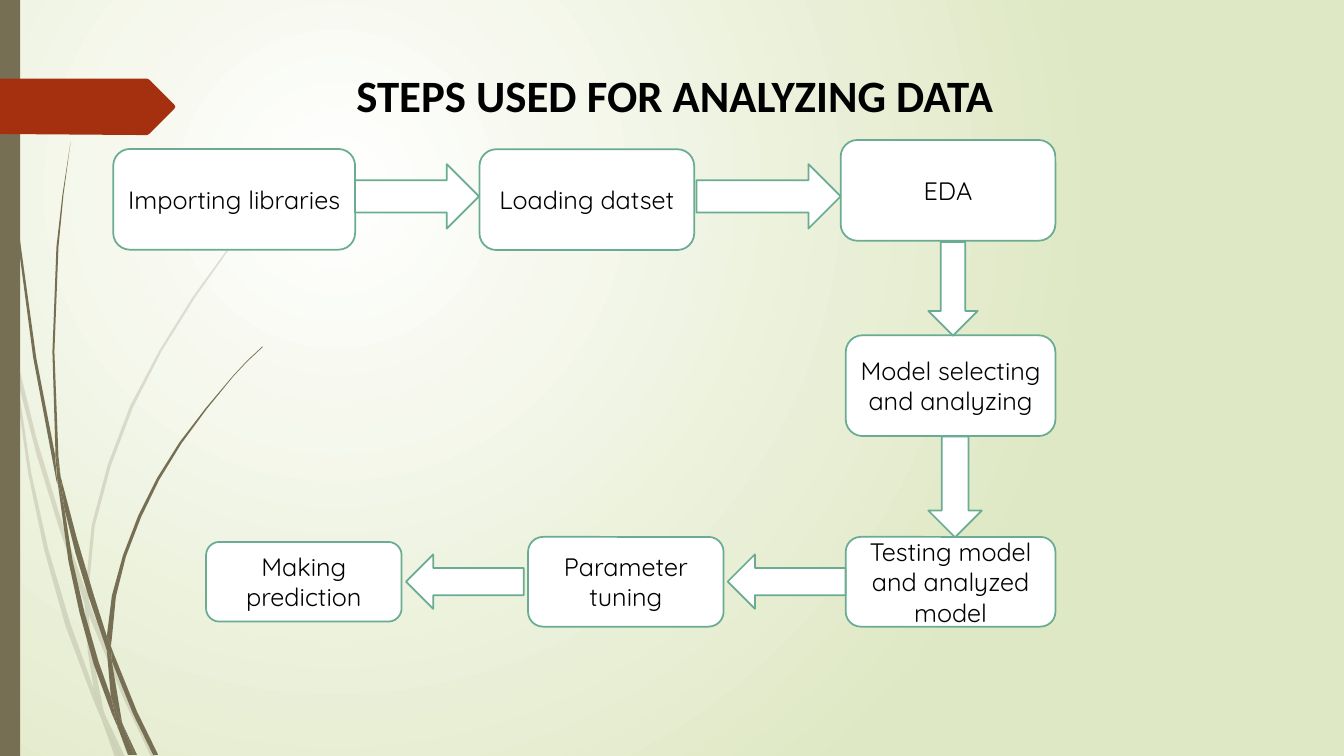
import pptx
import pptx.dml.color
import pptx.enum.shapes
import pptx.enum.text
import pptx.oxml
import pptx.oxml.ns
import pptx.util

Pt = pptx.util.Pt
RGBColor = pptx.dml.color.RGBColor
SHAPES = pptx.enum.shapes.MSO_SHAPE
ANCHOR = pptx.enum.text.MSO_ANCHOR
CENTER = pptx.enum.text.PP_ALIGN.CENTER

WHITE = RGBColor(0xFF, 0xFF, 0xFF)
BLACK = RGBColor(0x00, 0x00, 0x00)
SAGE = RGBColor(0xDF, 0xE8, 0xC4)
OLIVE = RGBColor(0x76, 0x6F, 0x54)
RUST = RGBColor(0xA5, 0x30, 0x10)
GREEN = RGBColor(0x6A, 0xAC, 0x91)

OUTLINE_UNIT = Pt(0.72)
PALE_BLADES = [
    [(11, 350), (9, 322), (0, 282), (0, 299), (10, 344)],
    [(58, 522), (84, 599), (85, 586), (62, 520), (36, 434), (14, 345),
     (17, 376), (36, 450)],
    [(92, 607), (88, 596), (88, 610), (123, 694), (150, 751), (155, 751),
     (127, 692)],
    [(119, 751), (124, 751), (105, 711)],
    [(93, 683), (70, 619), (48, 545), (31, 469), (17, 376), (11, 350),
     (28, 470), (44, 546), (65, 621), (92, 693), (101, 714), (99, 707)],
    [(84, 599), (87, 646), (93, 683), (96, 692), (105, 711), (103, 706),
     (91, 646), (88, 610), (88, 608)],
    [(88, 584), (94, 522), (110, 462), (132, 404), (160, 349), (193, 296),
     (229, 245), (268, 198), (290, 175), (312, 154), (312, 153), (289, 175),
     (268, 197), (228, 244), (191, 295), (158, 348), (129, 403), (107, 461),
     (91, 521), (85, 584), (85, 586), (88, 596)],
    [(101, 714), (114, 751), (119, 751)],
    [(88, 608), (88, 610), (88, 596), (85, 586), (84, 599)],
    [(96, 692), (93, 683), (99, 707), (101, 714), (119, 751), (105, 711)],
]
DARK_BLADES = [
    [(7, 110), (17, 233), (33, 355), (56, 477), (57, 481), (55, 457), (55, 453),
     (36, 355), (19, 232), (8, 109), (5, 48), (4, 0), (3, 0), (4, 48)],
    [(88, 592), (106, 645), (106, 633), (106, 631), (93, 590), (76, 533),
     (60, 472), (64, 505), (75, 549)],
    [(113, 649), (110, 641), (111, 656), (132, 708), (152, 749), (157, 749),
     (136, 706)],
    [(110, 691), (98, 657), (84, 608), (72, 556), (64, 505), (57, 477),
     (68, 557), (79, 608), (93, 659), (111, 708), (117, 722), (116, 717)],
    [(60, 472), (58, 453), (54, 349), (58, 245), (63, 193), (70, 141), (62, 193),
     (56, 245), (52, 349), (55, 449)],
    [(133, 749), (136, 749), (122, 719)],
    [(57, 477), (64, 505), (60, 472), (55, 449), (55, 453)],
    [(111, 633), (115, 592), (125, 552), (140, 513), (158, 476), (180, 440),
     (205, 406), (231, 374), (245, 359), (261, 344), (260, 344), (245, 358),
     (231, 373), (204, 405), (178, 439), (156, 474), (137, 512), (122, 551),
     (111, 591), (106, 631), (110, 641)],
    [(117, 722), (127, 749), (131, 749)],
    [(106, 645), (110, 691), (116, 706), (122, 719), (121, 716), (111, 656),
     (109, 651)],
    [(106, 645), (109, 651), (111, 656), (110, 641), (106, 631), (106, 633)],
    [(116, 706), (110, 691), (116, 717), (117, 722), (130, 749), (133, 749),
     (122, 719)],
]
TAG = [(0, 78), (146, 78), (148, 79), (173, 104), (174, 106), (173, 108),
       (148, 133), (146, 134), (136, 134), (0, 133)]
STEPS = [
    ("Importing libraries", 80.9, 106.4, 172.8, 72),
    ("Loading datset", 342.5, 106.6, 153.4, 72),
    ("EDA", 600.5, 100, 153.4, 72),
    ("Model selecting and analyzing", 604.1, 239.5, 149.8, 72),
    ("Testing model and analyzed model", 604.1, 383.5, 149.8, 64.1),
    ("Parameter tuning", 377.2, 383.5, 139.7, 64.1),
    ("Making prediction", 147.2, 387.1, 139.7, 56.9),
]
ARROWS = [
    (SHAPES.RIGHT_ARROW, 253.6, 117.2, 88.6, 46.1),
    (SHAPES.RIGHT_ARROW, 497.5, 117.2, 103, 46.1),
    (SHAPES.DOWN_ARROW, 663.1, 172.8, 35.3, 67),
    (SHAPES.DOWN_ARROW, 663.1, 311.8, 38.2, 72),
    (SHAPES.LEFT_ARROW, 519.8, 396, 84.2, 38.9),
    (SHAPES.LEFT_ARROW, 290, 396, 84.2, 38.9),
]


def set_background(slide):
    fill = slide.background.fill
    fill.gradient()
    for stop, color, position in zip(fill.gradient_stops, (WHITE, SAGE), (0, 1)):
        stop.color.rgb = color
        stop.position = position
    gradient = slide.background._cSld.find(".//" + pptx.oxml.ns.qn("a:gradFill"))
    linear = gradient.find(pptx.oxml.ns.qn("a:lin"))
    radial = pptx.oxml.parse_xml(
        f'<a:path {pptx.oxml.ns.nsdecls("a")} path="circle">'
        '<a:fillToRect l="50000" t="50000" r="100000" b="100000"/></a:path>')
    gradient.replace(linear, radial)


def paint(shape, color, outline=None):
    shape.shadow.inherit = False
    shape.fill.solid()
    shape.fill.fore_color.rgb = color
    if outline is None:
        shape.line.fill.background()
    else:
        shape.line.color.rgb = outline
        shape.line.width = Pt(1.25)


def add_block(slide, preset, left, top, width, height, color, outline=None):
    shape = slide.shapes.add_shape(preset, Pt(left), Pt(top), Pt(width), Pt(height))
    paint(shape, color, outline)
    return shape


def add_outline(slide, points, color, opacity=100):
    builder = slide.shapes.build_freeform(*points[0], scale=OUTLINE_UNIT)
    builder.add_line_segments(points[1:], close=True)
    shape = builder.convert_to_shape()
    paint(shape, color)
    if opacity < 100:
        fill_color = shape._element.spPr.find(".//" + pptx.oxml.ns.qn("a:srgbClr"))
        fill_color.append(pptx.oxml.parse_xml(
            f'<a:alpha {pptx.oxml.ns.nsdecls("a")} val="{opacity * 1000}"/>'))


def write(shape, text, font_name, size, anchor, bold=False):
    frame = shape.text_frame
    frame.word_wrap = True
    frame.auto_size = pptx.enum.text.MSO_AUTO_SIZE.NONE
    frame.vertical_anchor = anchor
    paragraph = frame.paragraphs[0]
    paragraph.alignment = CENTER
    run = paragraph.add_run()
    run.text = text
    run.font.name = font_name
    run.font.size = Pt(size)
    run.font.bold = bold
    run.font.color.rgb = BLACK


def add_title(slide, text):
    title = slide.shapes.title
    title.left, title.top = Pt(158.8), Pt(44.6)
    title.width, title.height = Pt(646.6), Pt(46.1)
    write(title, text, "Calibri", 32, ANCHOR.TOP, bold=True)


def add_step(slide, text, left, top, width, height):
    step = add_block(slide, SHAPES.ROUNDED_RECTANGLE, left, top, width, height,
                     WHITE, GREEN)
    step.text_frame.margin_left = step.text_frame.margin_right = Pt(5)
    write(step, text, "Quicksand", 18, ANCHOR.MIDDLE)


def main():
    presentation = pptx.Presentation()
    presentation.slide_width, presentation.slide_height = Pt(960), Pt(540)
    slide = presentation.slides.add_slide(presentation.slide_layouts[5])
    set_background(slide)
    for blades, opacity in ((PALE_BLADES, 20), (DARK_BLADES, 100)):
        for blade in blades:
            add_outline(slide, blade, OLIVE, opacity)
    add_block(slide, SHAPES.RECTANGLE, 0, 0, 14.4, 540, OLIVE)
    add_outline(slide, TAG, RUST)
    add_title(slide, "STEPS USED FOR ANALYZING DATA")
    for step in STEPS:
        add_step(slide, *step)
    for arrow in ARROWS:
        add_block(slide, *arrow, WHITE, GREEN)
    presentation.save("out.pptx")


if __name__ == "__main__":
    main()
